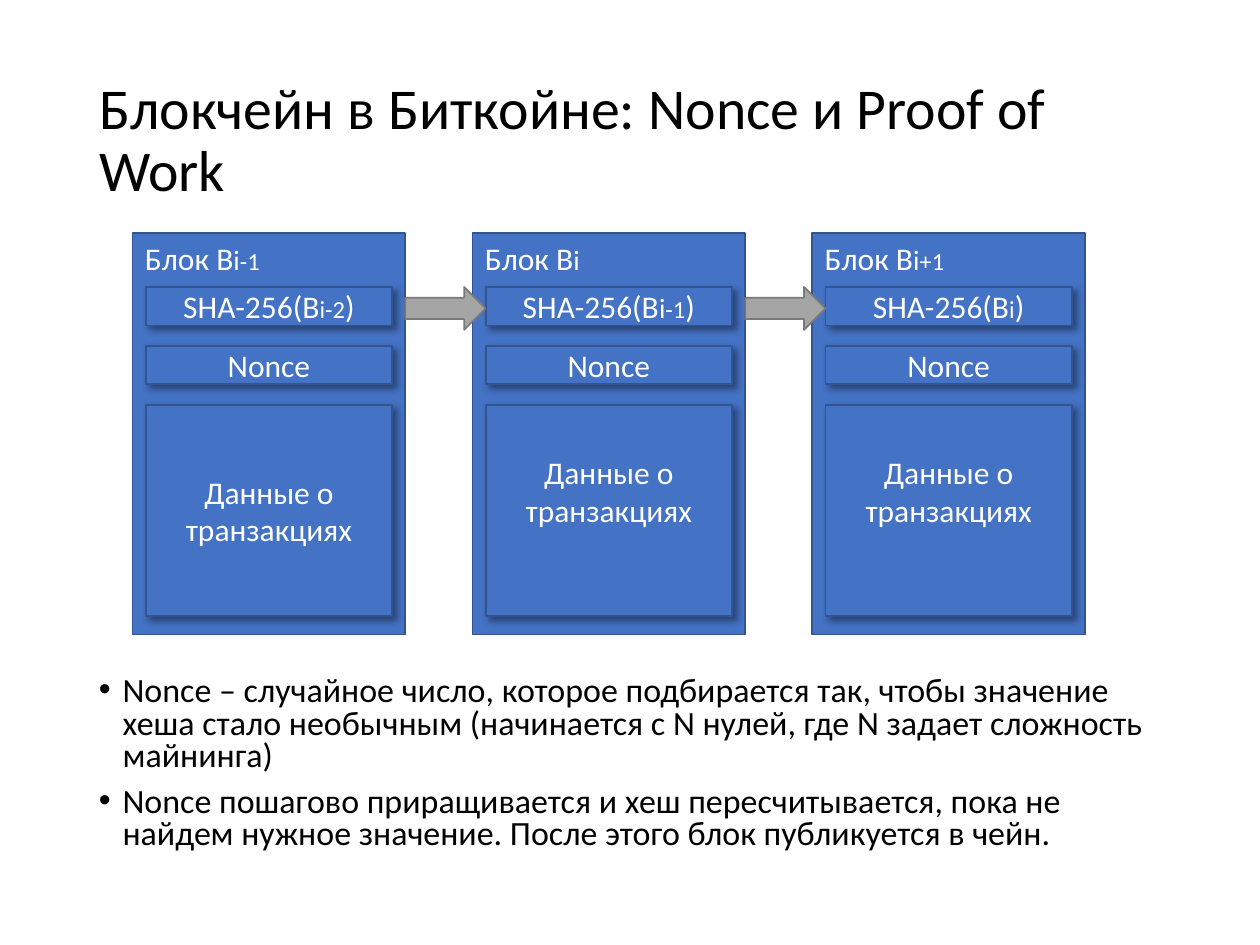
from dataclasses import dataclass

from lxml.etree import SubElement
from pptx import Presentation
from pptx.dml.color import RGBColor
from pptx.enum.shapes import MSO_SHAPE
from pptx.enum.text import MSO_ANCHOR, MSO_AUTO_SIZE, PP_ALIGN
from pptx.oxml.ns import qn
from pptx.util import Pt


@dataclass(frozen=True)
class Theme:
    """Colours, font and type sizes."""
    font: str = "Calibri"
    ink: str = "000000"
    light: str = "FFFFFF"
    blue: str = "4472C4"
    edge: str = "325491"
    grey: str = "A5A5A5"
    rim: str = "7A7A7A"
    head: float = 33
    body: float = 19.4
    text: float = 18
    mid: float = 16
    small: float = 14


class Deck:
    """Holds the style and the current slide."""

    def __init__(self, theme, show):
        """Start a slide with a title only."""
        self.theme = theme
        self.slide = show.slides.add_slide(show.slide_layouts[5])

    def add_runs(self, para, runs, ink):
        """Add the runs, each a pair of text and size."""
        for text, size in runs:
            run = para.add_run()
            run.text = text
            run.font.name = self.theme.font
            run.font.size = Pt(size)
            run.font.color.rgb = RGBColor.from_string(ink)

    def title(self, text, x, y, w, h):
        """Place and fill the title."""
        shape = self.slide.shapes.title
        shape.left, shape.top, shape.width, shape.height = map(Pt, (x, y, w, h))
        frame = shape.text_frame
        frame.word_wrap = True
        frame.auto_size = MSO_AUTO_SIZE.NONE
        frame.vertical_anchor = MSO_ANCHOR.MIDDLE
        para = frame.paragraphs[0]
        para.alignment = PP_ALIGN.LEFT
        para.line_spacing = 0.9
        self.add_runs(para, [(text, self.theme.head)], self.theme.ink)

    def shape(self, kind, x, y, w, h, fill, edge):
        """Add a flat filled shape."""
        shape = self.slide.shapes.add_shape(kind, *map(Pt, (x, y, w, h)))
        shape.shadow.inherit = False
        shape.fill.solid()
        shape.fill.fore_color.rgb = RGBColor.from_string(fill)
        shape.line.color.rgb = RGBColor.from_string(edge)
        shape.line.width = Pt(1)
        return shape

    def box(self, runs, x, y, w, h):
        """Add a blue box with text at its top left."""
        shape = self.shape(MSO_SHAPE.RECTANGLE, x, y, w, h,
                           self.theme.blue, self.theme.edge)
        frame = shape.text_frame
        frame.word_wrap = True
        frame.vertical_anchor = MSO_ANCHOR.TOP
        para = frame.paragraphs[0]
        para.alignment = PP_ALIGN.LEFT
        self.add_runs(para, runs, self.theme.light)
        return shape

    def field(self, runs, x, y, w, h, lift=0):
        """Add a box with centred text and a soft shadow."""
        shape = self.box(runs, x, y, w, h)
        frame = shape.text_frame
        frame.vertical_anchor = MSO_ANCHOR.MIDDLE
        frame.margin_bottom = Pt(3.6 + lift)
        frame.paragraphs[0].alignment = PP_ALIGN.CENTER
        group = shape.element.spPr.find(qn("a:effectLst"))
        shade = SubElement(group, qn("a:outerShdw"), blurRad=str(Pt(4)),
                           dist=str(Pt(3)), dir="2700000", algn="tl",
                           rotWithShape="0")
        tint = SubElement(shade, qn("a:srgbClr"), val=self.theme.ink)
        SubElement(tint, qn("a:alpha"), val="40000")

    def arrow(self, x, y, w, h):
        """Add a grey block arrow."""
        self.shape(MSO_SHAPE.RIGHT_ARROW, x, y, w, h,
                   self.theme.grey, self.theme.rim)

    def bullets(self, lines, x, y, w, h):
        """Add a list with bullets."""
        frame = self.slide.shapes.add_textbox(*map(Pt, (x, y, w, h))).text_frame
        frame.word_wrap = True
        for i, line in enumerate(lines):
            para = frame.add_paragraph() if i else frame.paragraphs[0]
            para.line_spacing = 0.8
            para.space_before = Pt(7.5)
            self.add_runs(para, [(line, self.theme.body)], self.theme.ink)
            props = para._p.get_or_add_pPr()
            props.set("marL", str(Pt(13.5)))
            props.set("indent", str(Pt(-13.5)))
            SubElement(props, qn("a:buFont"), typeface="Arial")
            SubElement(props, qn("a:buChar"), char="•")


def main():
    """Build the slide and save it."""
    show = Presentation()
    show.slide_width, show.slide_height = Pt(720), Pt(540)
    theme = Theme()
    deck = Deck(theme, show)
    big, mid, small = theme.text, theme.mid, theme.small
    edge, wide = 49.5, 621

    deck.title("Блокчейн в Биткойне: Nonce и Proof of Work", edge, 28.75, wide, 104.4)
    deck.bullets([
        "Nonce – случайное число, которое подбирается так, чтобы значение хеша "
        "стало необычным (начинается с N нулей, где N задает сложность майнинга)",
        "Nonce пошагово приращивается и хеш пересчитывается, пока не найдем "
        "нужное значение. После этого блок публикуется в чейн.",
    ], edge, 383, wide, 116)

    left, step, width, pad = 75.8, 194.2, 155.8, 7.5
    inner = width - 2 * pad
    blocks = [
        ([("i", mid), ("-1", small)], [("i-2", small)], 0),
        ([("i", mid)], [("i", mid), ("-1", small)], 22),
        ([("i", mid), ("+1", small)], [("i", small)], 22),
    ]
    for i, (name, prior, lift) in enumerate(blocks):
        x = left + i * step
        deck.box([("Блок B", big), *name], x, 133.2, width, 229.5)
        x += pad
        deck.field([("SHA-256(B", big), *prior, (")", big)], x, 164, inner, 22)
        deck.field([("Nonce", big)], x, 197.6, inner, 22)
        deck.field([("Данные о транзакциях", big)], x, 231.3, inner, 120.8, lift)
    for i in range(len(blocks) - 1):
        deck.arrow(left + width + i * step, 164, step - width + pad, 24.5)

    show.save("out.pptx")


if __name__ == "__main__":
    main()
